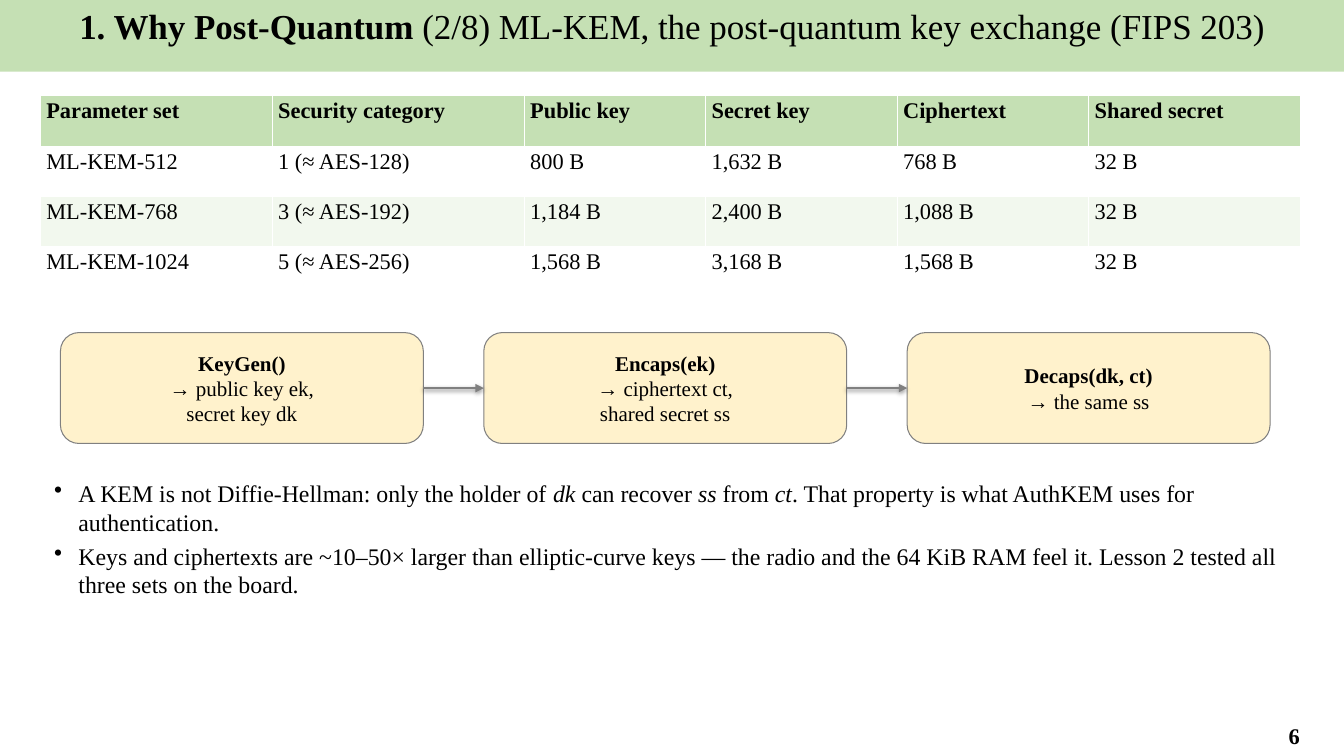
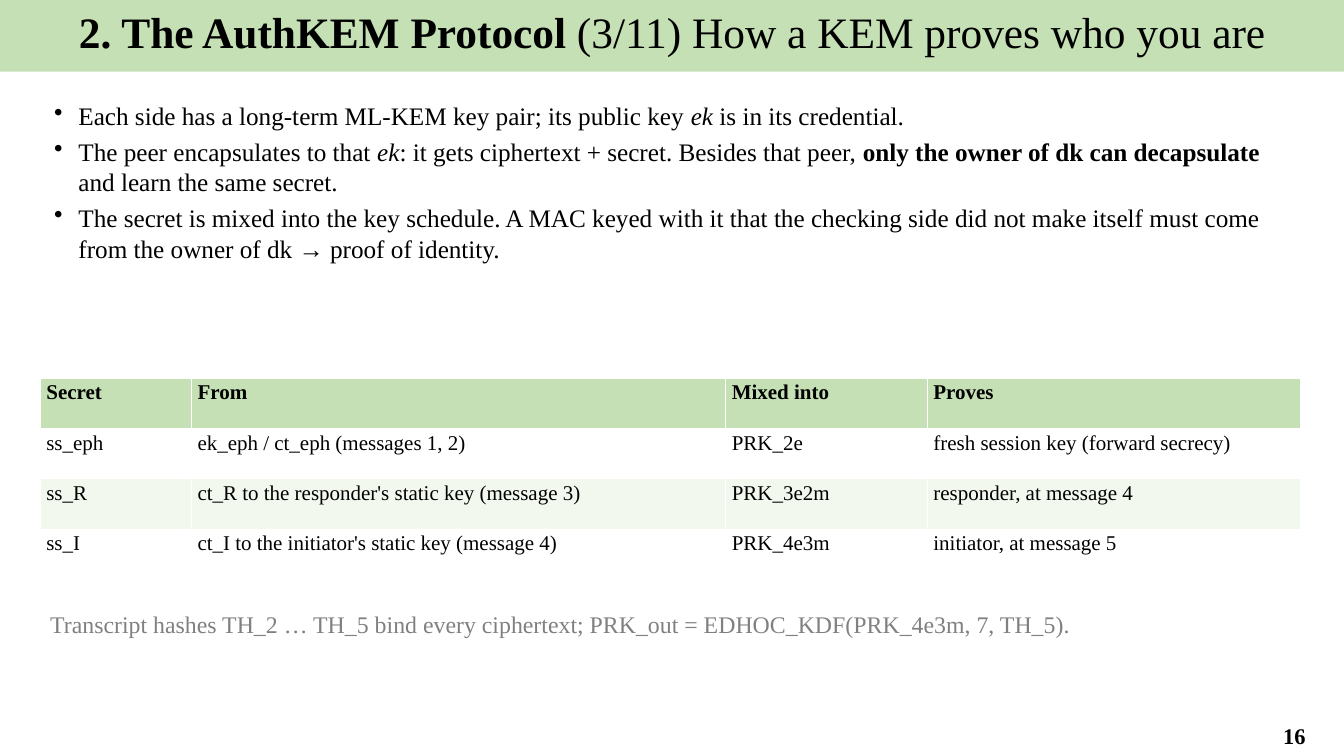
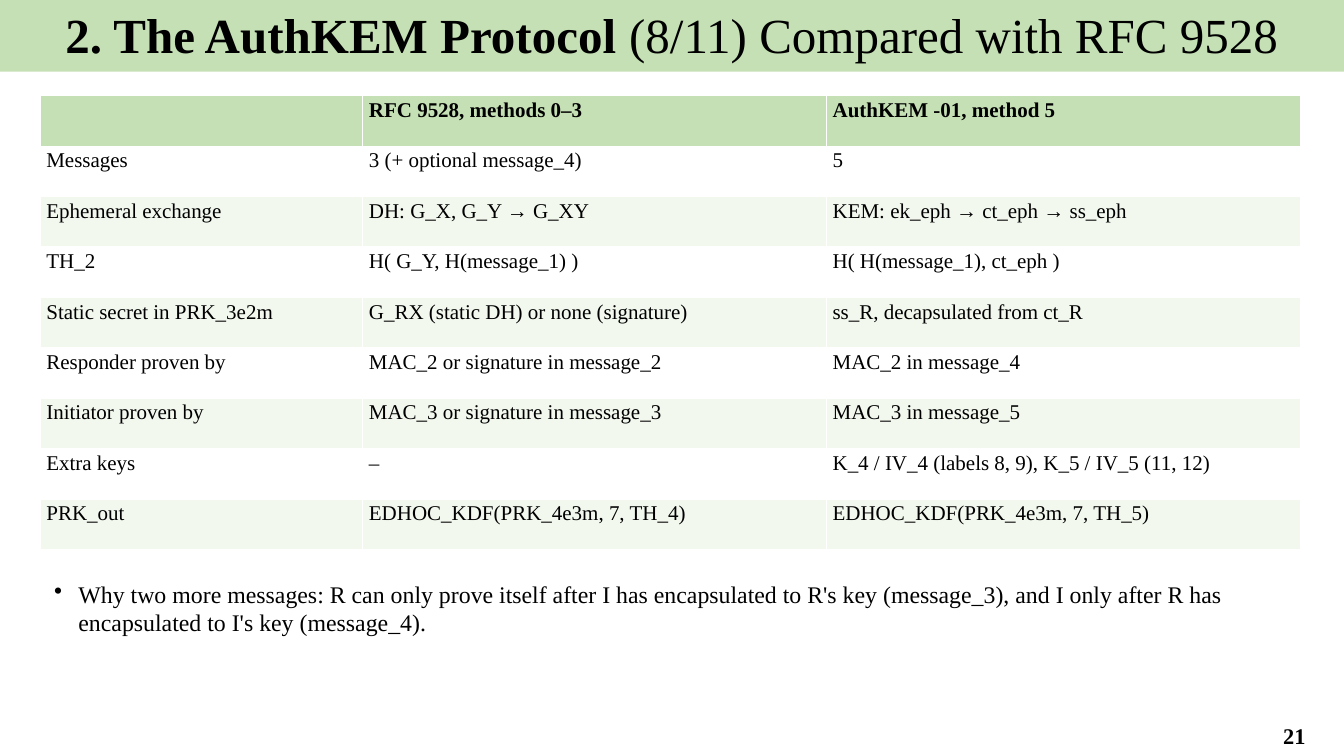
from dataclasses import dataclass
from itertools import pairwise

from lxml import etree
from pptx import Presentation
from pptx import util as u
from pptx.dml.color import RGBColor
from pptx.enum import shapes as sh, text as tx
from pptx.oxml.ns import qn


@dataclass(frozen=True)
class Theme:
    font: str = "Times New Roman"
    ink: str = "000000"
    gray: str = "808080"
    green: str = "C5E0B4"
    pale: str = "F2F8EE"
    white: str = "FFFFFF"
    cream: str = "FFF2CC"
    body: int = 17
    page: int = 16
    box: int = 15
    cell: int = 15


T = Theme()
CELL = 0.1
COLS, ROWS = 133.33, 75
LEFT, WIDE, TOP = 4, 125, 9.5
LINE = 5


def grid(*nums):
    return [u.Inches(n * CELL) for n in nums]


def rgb(code):
    return RGBColor.from_string(code)


def write(frame, paras, size=T.body, color=T.ink, bold=False, align=None,
          anchor=tx.MSO_ANCHOR.TOP, pad=(1, 0.5), after=0, bullet=False):
    frame.word_wrap = True
    frame.vertical_anchor = anchor
    frame.margin_left, frame.margin_top = grid(*pad)
    frame.margin_right, frame.margin_bottom = grid(*pad)
    for i, runs in enumerate(paras):
        para = frame.add_paragraph() if i else frame.paragraphs[0]
        para.alignment = align
        para.space_after = u.Pt(after)
        if bullet:
            prop = para._p.get_or_add_pPr()
            prop.set("marL", str(u.Inches(0.28)))
            prop.set("indent", str(u.Inches(-0.24)))
            etree.SubElement(prop, qn("a:buChar")).set("char", "•")
        for part in [runs] if isinstance(runs, str) else runs:
            words, mark = (part, "") if isinstance(part, str) else part
            run = para.add_run()
            run.text = words
            font = run.font
            font.name, font.size = T.font, u.Pt(size)
            font.bold = bold or mark == "b"
            font.italic = mark == "i"
            font.color.rgb = rgb(color)


class Deck:
    def __init__(self):
        self.prs = Presentation()
        self.prs.slide_width, self.prs.slide_height = grid(COLS, ROWS)
        self.slide = None

    def page(self, head, tail, size, num):
        self.slide = self.prs.slides.add_slide(self.prs.slide_layouts[6])
        mid = tx.PP_ALIGN.CENTER
        band = self.shape(sh.MSO_SHAPE.RECTANGLE, (0, 0, COLS, 7.1), T.green)
        write(band.text_frame, [[(head + " ", "b"), tail]], size=size, align=mid)
        self.note((123.5, 71, 9.8, 3.9), [num], size=T.page, bold=True,
                  align=mid, anchor=tx.MSO_ANCHOR.MIDDLE)

    def shape(self, kind, area, fill, line=None):
        item = self.slide.shapes.add_shape(kind, *grid(*area))
        item.shadow.inherit = False
        item.fill.solid()
        item.fill.fore_color.rgb = rgb(fill)
        if line:
            item.line.color.rgb = rgb(line)
            item.line.width = u.Pt(0.75)
        else:
            item.line.fill.background()
        return item

    def note(self, area, paras, **fmt):
        box = self.slide.shapes.add_textbox(*grid(*area))
        write(box.text_frame, paras, **fmt)

    def list(self, row, rows, paras, **fmt):
        self.note((LEFT, row, WIDE, rows), paras, after=4, bullet=True, **fmt)

    def table(self, row, cols, data, size=T.cell):
        area = grid(LEFT, row, WIDE, LINE * len(data))
        table = self.slide.shapes.add_table(len(data), len(cols), *area).table
        table.horz_banding = False
        for col, width in zip(table.columns, grid(*cols)):
            col.width = width
        for r, line in enumerate(data):
            tint = T.green if r == 0 else (T.pale, T.white)[r % 2]
            for c, words in enumerate(line):
                cell = table.cell(r, c)
                cell.fill.solid()
                cell.fill.fore_color.rgb = rgb(tint)
                write(cell.text_frame, [words], size=size, bold=r == 0)
                cell.margin_left = cell.margin_right = u.Inches(0.06)
                cell.margin_top = cell.margin_bottom = u.Inches(0.03)
                cell.vertical_anchor = tx.MSO_ANCHOR.TOP

    def flow(self, row, steps, left=6, wide=36, tall=11, gap=6):
        boxes = []
        for i, (name, *rest) in enumerate(steps):
            area = (left + i * (wide + gap), row, wide, tall)
            box = self.shape(sh.MSO_SHAPE.ROUNDED_RECTANGLE, area, T.cream, T.gray)
            write(box.text_frame, [[(name, "b")], *rest], size=T.box,
                  align=tx.PP_ALIGN.CENTER, anchor=tx.MSO_ANCHOR.MIDDLE,
                  pad=(0.4, 0.4))
            boxes.append(box)
        for a, b in pairwise(boxes):
            self.arrow(a, b)

    def arrow(self, a, b):
        link = self.slide.shapes.add_connector(sh.MSO_CONNECTOR.STRAIGHT, 0, 0, 0, 0)
        link.begin_connect(a, 3)
        link.end_connect(b, 1)
        link.line.color.rgb = rgb(T.gray)
        link.line.width = u.Pt(2)
        etree.SubElement(link.line._get_or_add_ln(), qn("a:tailEnd")).set("type", "triangle")


def kem(deck):
    deck.page("1. Why Post-Quantum",
              "(2/8) ML-KEM, the post-quantum key exchange (FIPS 203)", 25, "6")
    deck.table(TOP, (23, 25, 18, 19, 19, 21), [
        ("Parameter set", "Security category", "Public key", "Secret key",
         "Ciphertext", "Shared secret"),
        ("ML-KEM-512", "1 (≈ AES-128)", "800 B", "1,632 B", "768 B", "32 B"),
        ("ML-KEM-768", "3 (≈ AES-192)", "1,184 B", "2,400 B", "1,088 B", "32 B"),
        ("ML-KEM-1024", "5 (≈ AES-256)", "1,568 B", "3,168 B", "1,568 B", "32 B"),
    ], size=16)
    deck.flow(33, [
        ("KeyGen()", "→ public key ek,", "secret key dk"),
        ("Encaps(ek)", "→ ciphertext ct,", "shared secret ss"),
        ("Decaps(dk, ct)", "→ the same ss"),
    ])
    deck.list(47, 22, [
        ["A KEM is not Diffie-Hellman: only the holder of ", ("dk", "i"),
         " can recover ", ("ss", "i"), " from ", ("ct", "i"),
         ". That property is what AuthKEM uses for authentication."],
        "Keys and ciphertexts are ~10–50× larger than elliptic-curve keys — the radio "
        "and the 64 KiB RAM feel it. Lesson 2 tested all three sets on the board.",
    ])


def proof(deck):
    deck.page("2. The AuthKEM Protocol", "(3/11) How a KEM proves who you are", 31, "16")
    deck.list(TOP, 26, [
        ["Each side has a long-term ML-KEM key pair; its public key ", ("ek", "i"),
         " is in its credential."],
        ["The peer encapsulates to that ", ("ek", "i"),
         ": it gets ciphertext + secret. Besides that peer, ",
         ("only the owner of dk can decapsulate", "b"), " and learn the same secret."],
        "The secret is mixed into the key schedule. A MAC keyed with it that the checking "
        "side did not make itself must come from the owner of dk → proof of identity.",
    ], size=18)
    deck.table(37.5, (15, 53, 20, 37), [
        ("Secret", "From", "Mixed into", "Proves"),
        ("ss_eph", "ek_eph / ct_eph (messages 1, 2)", "PRK_2e",
         "fresh session key (forward secrecy)"),
        ("ss_R", "ct_R to the responder's static key (message 3)", "PRK_3e2m",
         "responder, at message 4"),
        ("ss_I", "ct_I to the initiator's static key (message 4)", "PRK_4e3m",
         "initiator, at message 5"),
    ])
    deck.note((LEFT, 60, WIDE, 8), [
        "Transcript hashes TH_2 … TH_5 bind every ciphertext; "
        "PRK_out = EDHOC_KDF(PRK_4e3m, 7, TH_5)."], color=T.gray)


def match(deck):
    deck.page("2. The AuthKEM Protocol", "(8/11) Compared with RFC 9528", 35, "21")
    deck.table(TOP, (32, 46, 47), [
        ("", "RFC 9528, methods 0–3", "AuthKEM -01, method 5"),
        ("Messages", "3 (+ optional message_4)", "5"),
        ("Ephemeral exchange", "DH: G_X, G_Y → G_XY", "KEM: ek_eph → ct_eph → ss_eph"),
        ("TH_2", "H( G_Y, H(message_1) )", "H( H(message_1), ct_eph )"),
        ("Static secret in PRK_3e2m", "G_RX (static DH) or none (signature)",
         "ss_R, decapsulated from ct_R"),
        ("Responder proven by", "MAC_2 or signature in message_2", "MAC_2 in message_4"),
        ("Initiator proven by", "MAC_3 or signature in message_3", "MAC_3 in message_5"),
        ("Extra keys", "–", "K_4 / IV_4 (labels 8, 9), K_5 / IV_5 (11, 12)"),
        ("PRK_out", "EDHOC_KDF(PRK_4e3m, 7, TH_4)", "EDHOC_KDF(PRK_4e3m, 7, TH_5)"),
    ])
    deck.list(57, 12, [
        "Why two more messages: R can only prove itself after I has encapsulated to R's key "
        "(message_3), and I only after R has encapsulated to I's key (message_4).",
    ])


def main():
    deck = Deck()
    for build in (kem, proof, match):
        build(deck)
    deck.prs.save("out.pptx")


if __name__ == "__main__":
    main()
